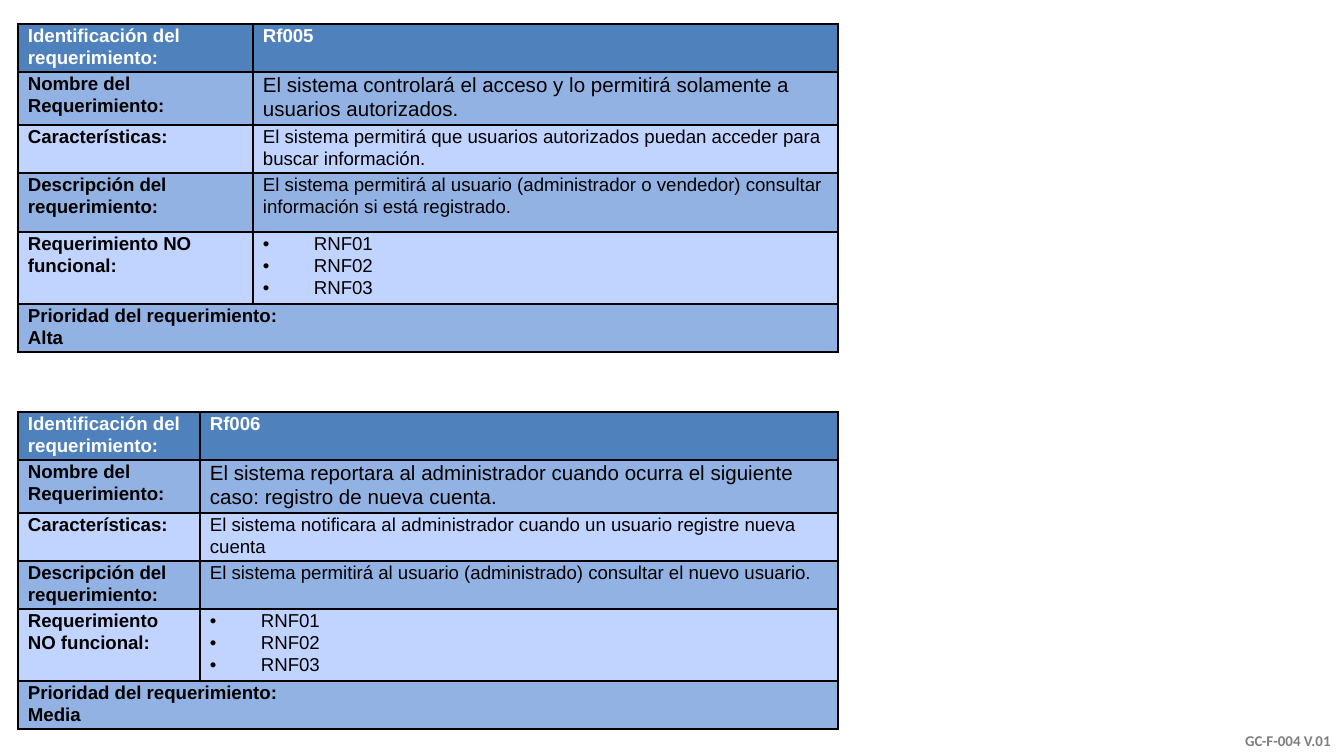
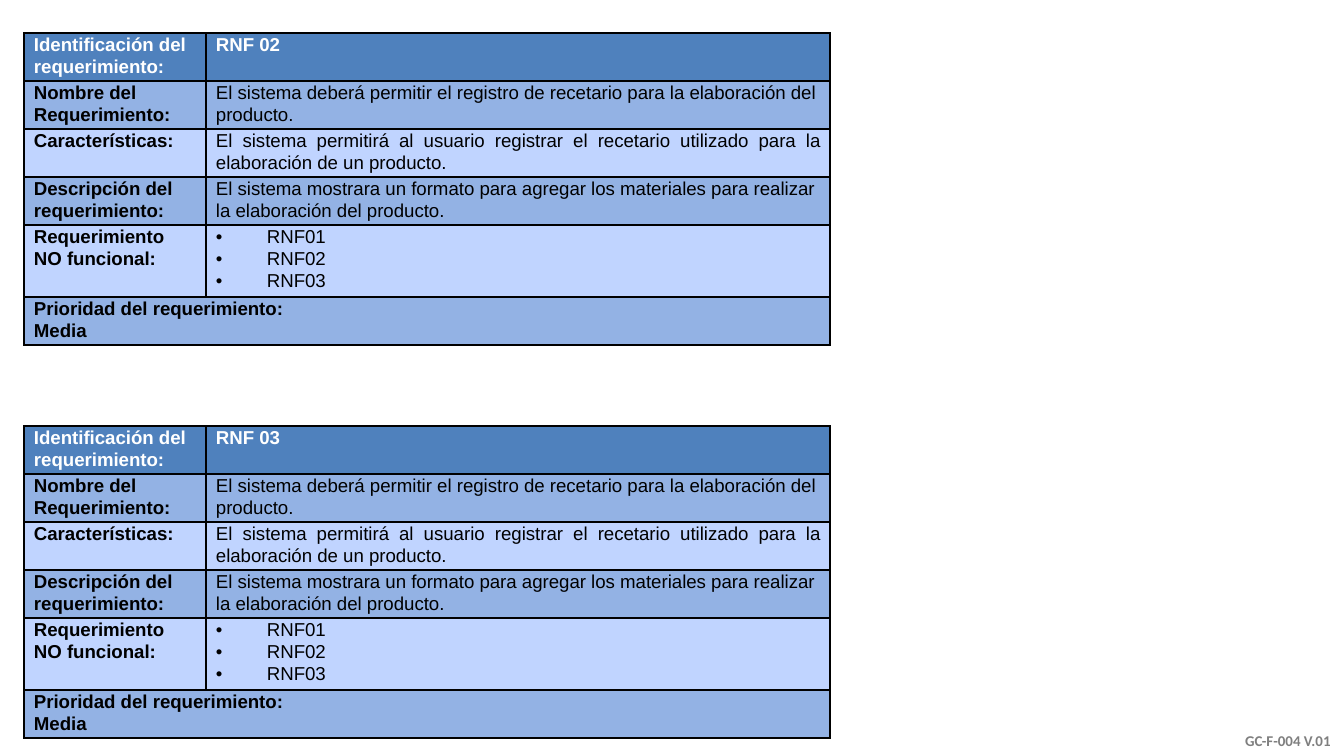
from dataclasses import dataclass

from lxml.etree import SubElement
from pptx import Presentation
from pptx.dml.color import RGBColor
from pptx.enum.text import MSO_ANCHOR as Anchor, PP_ALIGN as Align
from pptx.oxml.ns import qn
from pptx.util import Pt

PX = 914400 / 134.4


def px(length):
    return round(length * PX)


@dataclass(frozen=True)
class Theme:
    header: str = "4F81BD"
    band: str = "93B2E4"
    light: str = "C0D4FF"
    ink: str = "000000"
    white: str = "FFFFFF"
    grey: str = "7F7F7F"
    body_font: str = "Arial"
    footer_font: str = "Calibri"
    body: int = 10
    large: int = 11
    small: int = 8
    leading: float = 1.07
    border: int = 1


THEME = Theme()

LABELS = [
    "Identificación del requerimiento:",
    "Nombre del Requerimiento:",
    "Características:",
    "Descripción del requerimiento:",
    "Requerimiento NO funcional:",
    "Prioridad del requerimiento:",
]
ROW_FILLS = [THEME.header, THEME.band, THEME.light,
             THEME.band, THEME.light, THEME.band]
RELATED = ["RNF01", "RNF02", "RNF03"]
ROW_HEIGHTS = [48, 48, 48, 48, 72, 48]
CELL_INSET = 10
BULLET_INDENT = 51


@dataclass(frozen=True)
class Requirement:
    code: str
    name: str
    features: str
    description: str
    priority: str


def write(frame, text, size=THEME.body, font=THEME.body_font, color=THEME.ink,
          bold=False, align=None, leading=None, bullet=False):
    """Fill a text frame with one paragraph for each line of text."""
    frame.word_wrap = True
    for index, line in enumerate(text.split("\n")):
        paragraph = frame.paragraphs[0] if index == 0 else frame.add_paragraph()
        paragraph.alignment = align
        paragraph.line_spacing = leading
        run = paragraph.add_run()
        run.text = line
        run.font.size, run.font.name, run.font.bold = Pt(size), font, bold
        run.font.color.rgb = RGBColor.from_string(color)
        if bullet:
            add_bullet(paragraph, color)


def add_bullet(paragraph, color):
    props = paragraph._p.get_or_add_pPr()
    props.set("marL", str(px(BULLET_INDENT)))
    props.set("indent", str(-px(BULLET_INDENT)))
    SubElement(SubElement(props, qn("a:buClr")), qn("a:srgbClr")).set("val", color)
    SubElement(props, qn("a:buFont")).set("typeface", THEME.body_font)
    SubElement(props, qn("a:buChar")).set("char", "•")


def style_cell(cell, fill):
    """Set the insets, black borders and fill of a cell."""
    cell.margin_left = cell.margin_right = px(CELL_INSET)
    cell.margin_top = cell.margin_bottom = 0
    props = cell._tc.get_or_add_tcPr()
    for side in ("lnL", "lnR", "lnT", "lnB"):
        line = SubElement(props, qn(f"a:{side}"), w=str(Pt(THEME.border)))
        paint = SubElement(line, qn("a:solidFill"))
        SubElement(paint, qn("a:srgbClr")).set("val", THEME.ink)
    cell.fill.solid()
    cell.fill.fore_color.rgb = RGBColor.from_string(fill)


def add_requirement(slide, requirement, left, top, width, label_width,
                    heights=ROW_HEIGHTS, name_size=THEME.body,
                    features_align=None):
    """Draw a requirement sheet with its top left corner at left, top."""
    table = slide.shapes.add_table(len(LABELS), 2, px(left), px(top),
                                   px(width), px(sum(heights))).table
    table.first_row = table.horz_banding = False
    table.columns[0].width = px(label_width)
    table.columns[1].width = px(width - label_width)

    for row, height, fill in zip(table.rows, heights, ROW_FILLS):
        row.height = px(height)
        for cell in row.cells:
            style_cell(cell, fill)

    # Labels; the priority shares its full-width cell with its label
    last = len(LABELS) - 1
    table.cell(last, 0).merge(table.cell(last, 1))
    for index, label in enumerate(LABELS):
        text = f"{label}\n{requirement.priority}" if index == last else label
        write(table.cell(index, 0).text_frame, text, bold=True,
              leading=THEME.leading,
              color=THEME.white if index == 0 else THEME.ink)

    # Values
    values = [
        (requirement.code, dict(color=THEME.white, bold=True)),
        (requirement.name, dict(size=name_size)),
        (requirement.features, dict(align=features_align)),
        (requirement.description, {}),
        ("\n".join(RELATED), dict(bullet=True)),
    ]
    for index, (text, style) in enumerate(values):
        write(table.cell(index, 1).text_frame, text,
              leading=THEME.leading, **style)


def add_footer(slide, left=1125, top=699, width=219, height=57):
    frame = slide.shapes.add_textbox(px(left), px(top), px(width),
                                     px(height)).text_frame
    frame.vertical_anchor = Anchor.BOTTOM
    write(frame, "GC-F-004 V.01", size=THEME.small, font=THEME.footer_font,
          color=THEME.grey, bold=True, align=Align.RIGHT)


def new_slide(deck):
    slide = deck.slides.add_slide(deck.slide_layouts[6])
    add_footer(slide)
    return slide


def functional_slide(deck):
    access = Requirement(
        "Rf005",
        "El sistema controlará el acceso y lo permitirá solamente a usuarios autorizados.",
        "El sistema permitirá que usuarios autorizados puedan acceder para buscar información.",
        "El sistema permitirá al usuario (administrador o vendedor) consultar información si está registrado.",
        "Alta")
    new_account = Requirement(
        "Rf006",
        "El sistema reportara al administrador cuando ocurra el siguiente caso: registro de nueva cuenta.",
        "El sistema notificara al administrador cuando un usuario registre nueva cuenta",
        "El sistema permitirá al usuario (administrado) consultar el nuevo usuario.",
        "Media")
    slide = new_slide(deck)
    sheets = [
        (access, 24, 235, [48, 53, 48, 59, 71, 48]),
        (new_account, 412, 182, [48, 53, 48, 48, 72, 48]),
    ]
    for requirement, top, label_width, heights in sheets:
        add_requirement(slide, requirement, 18, top, 820, label_width,
                        heights=heights, name_size=THEME.large)


def non_functional_slide(deck):
    slide = new_slide(deck)
    for code, top in (("RNF 02", 33), ("RNF 03", 426)):
        recipe_book = Requirement(
            code,
            "El sistema deberá permitir el registro de recetario para la elaboración del producto.",
            "El sistema permitirá al usuario registrar el recetario utilizado para la elaboración de un producto.",
            "El sistema mostrara un formato para agregar los materiales para realizar la elaboración del producto.",
            "Media")
        add_requirement(slide, recipe_book, 24, top, 806, 182,
                        features_align=Align.JUSTIFY)


def main():
    deck = Presentation()
    deck.slide_width, deck.slide_height = px(1344), px(756)
    functional_slide(deck)
    non_functional_slide(deck)
    deck.save("out.pptx")


if __name__ == "__main__":
    main()
